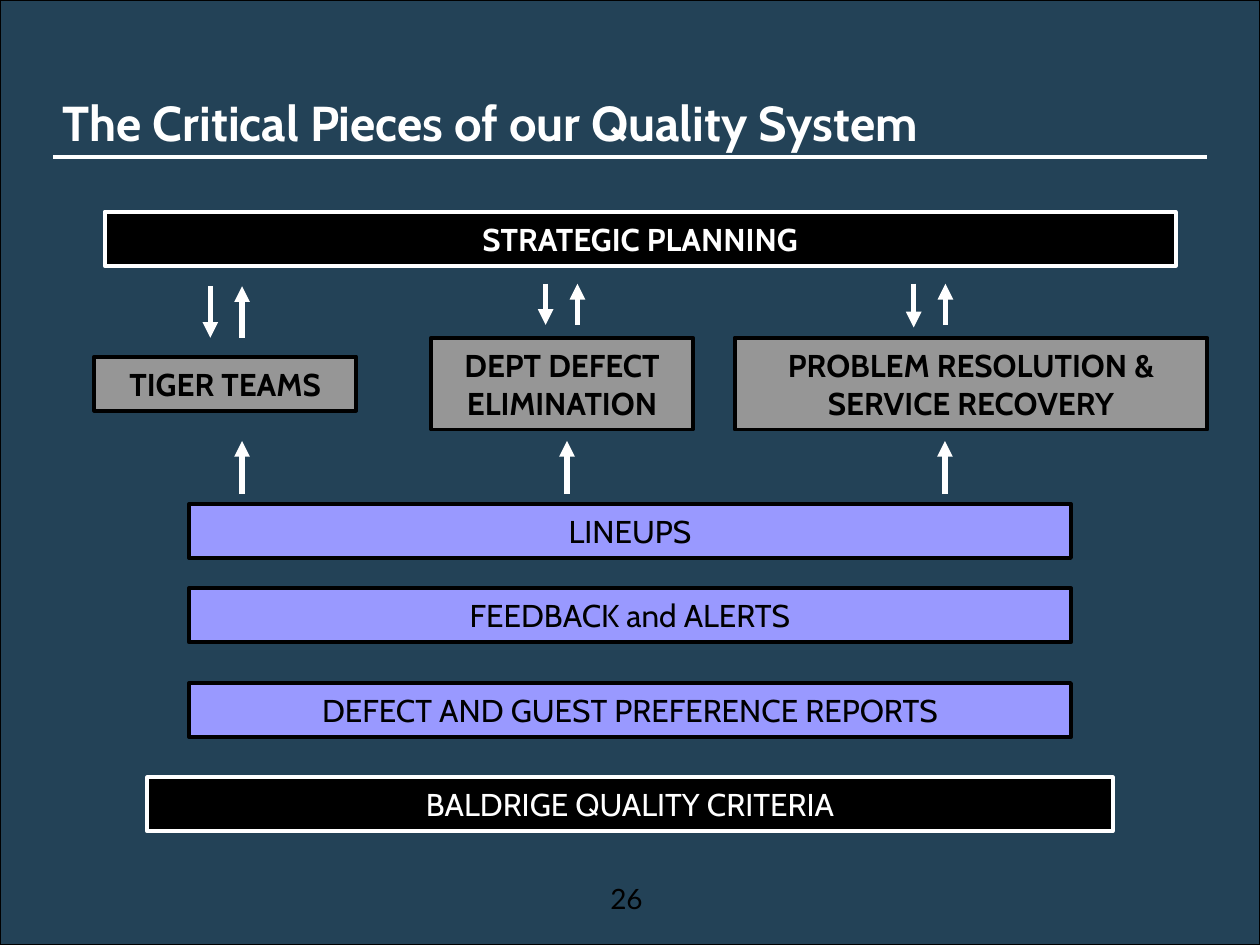
import pptx
import pptx.util
import pptx.dml.color
import pptx.enum.shapes
import pptx.enum.text
import pptx.oxml
import pptx.oxml.ns
from lxml import etree

Cm = pptx.util.Cm
Pt = pptx.util.Pt
RGBColor = pptx.dml.color.RGBColor
PP_ALIGN = pptx.enum.text.PP_ALIGN
MSO_ANCHOR = pptx.enum.text.MSO_ANCHOR

NAVY = RGBColor(0x23, 0x42, 0x57)
BLACK = RGBColor(0x00, 0x00, 0x00)
WHITE = RGBColor(0xFF, 0xFF, 0xFF)
GREY = RGBColor(0x96, 0x96, 0x96)
LILAC = RGBColor(0x99, 0x99, 0xFF)

BAR_HEIGHT = 1.09
PAIR_GAP = 0.64


def write(frame, wording, size, color, bold=False, font="Cabin", align=PP_ALIGN.CENTER):
    """Fill a text frame with one formatted paragraph."""
    frame.word_wrap = True
    frame.text = wording
    paragraph = frame.paragraphs[0]
    paragraph.alignment = align
    run_font = paragraph.runs[0].font
    run_font.name, run_font.size, run_font.bold = font, Pt(size), bold
    run_font.color.rgb = color


def add_panel(slide, box, fill, outline, weight=2.25):
    """Draw a filled rectangle and return it."""
    panel = slide.shapes.add_shape(
        pptx.enum.shapes.MSO_SHAPE.RECTANGLE, *map(Cm, box))
    panel.shadow.inherit = False
    panel.fill.solid()
    panel.fill.fore_color.rgb = fill
    panel.line.color.rgb = outline
    panel.line.width = Pt(weight)
    return panel


def add_bar(slide, box, wording, fill, outline, color, bold=False):
    """Draw a labelled rectangle."""
    bar = add_panel(slide, box, fill, outline)
    bar.text_frame.vertical_anchor = MSO_ANCHOR.MIDDLE
    write(bar.text_frame, wording, 18, color, bold)


def add_rule(slide, start, end, weight, arrow=False):
    """Draw a white line, with an arrowhead at its end if asked."""
    rule = slide.shapes.add_connector(
        pptx.enum.shapes.MSO_CONNECTOR.STRAIGHT, *map(Cm, start + end))
    rule.line.color.rgb = WHITE
    rule.line.width = Pt(weight)
    qn = pptx.oxml.ns.qn
    if arrow:
        etree.SubElement(rule.line._get_or_add_ln(), qn("a:tailEnd"), type="triangle")
    etree.SubElement(rule._element.spPr, qn("a:effectLst"))


def add_backdrop(slide, box):
    """Draw the backdrop and the page number near its foot."""
    left, top, width, height = box
    add_panel(slide, box, NAVY, BLACK, 0.75)
    page_number = slide.shapes.add_textbox(
        Cm(left + 11.79), Cm(top + height - 1.4), Cm(1.68), Cm(0.94))
    write(page_number.text_frame, "26", 16, BLACK, font="Lato")


def add_header(slide, box):
    """Place the title and the rule under it."""
    left, top, width, height = box
    title = slide.shapes.add_textbox(*map(Cm, box))
    write(title.text_frame, "The Critical Pieces of our Quality System", 28, WHITE,
          bold=True, align=PP_ALIGN.LEFT)
    rule_y = top + height + 0.15
    add_rule(slide, (left + 0.05, rule_y), (left + width - 0.07, rule_y), 2.25)


def add_planning(slide, box):
    """Place the planning bar and the arrow pairs below it."""
    left, top, width, height = box
    add_bar(slide, (left, top, width, BAR_HEIGHT), "STRATEGIC PLANNING",
            BLACK, WHITE, WHITE, bold=True)
    exchanges = [(2.13, 1.5, 2.54, 2.54), (8.89, 1.45, 2.28, 2.28),
                 (16.31, 1.45, 2.33, 2.28)]
    for x, upper, down_end, up_start in exchanges:
        down_x, up_x = left + x, left + x + PAIR_GAP
        add_rule(slide, (down_x, top + upper), (down_x, top + down_end), 3, arrow=True)
        add_rule(slide, (up_x, top + up_start), (up_x, top + upper), 3, arrow=True)


def add_teams(slide, box):
    """Place the three team boxes and the arrows that feed them."""
    left, top, width, height = box
    tall = 1.85
    teams = [("TIGER TEAMS", 0, 5.28, BAR_HEIGHT, 2.98),
             ("DEPT DEFECT ELIMINATION", 6.79, 5.28, tall, 9.53),
             ("PROBLEM RESOLUTION & SERVICE RECOVERY", 12.91, 9.53, tall, 17.15)]
    for wording, x, team_width, team_height, feed_x in teams:
        y = top + (tall - team_height) / 2
        add_bar(slide, (left + x, y, team_width, team_height), wording,
                GREY, BLACK, BLACK, bold=True)
        add_rule(slide, (left + feed_x, top + height),
                 (left + feed_x, top + height - 1.07), 3, arrow=True)


def add_foundation(slide, box):
    """Place the information bars and the criteria bar at the base."""
    left, top, width, height = box
    inset = 0.84
    sources = [("LINEUPS", 0), ("FEEDBACK and ALERTS", 1.7),
               ("DEFECT AND GUEST PREFERENCE REPORTS", 3.61)]
    for wording, y in sources:
        add_bar(slide, (left + inset, top + y, width - 2 * inset, BAR_HEIGHT),
                wording, LILAC, BLACK, BLACK)
    add_bar(slide, (left, top + height - BAR_HEIGHT, width, BAR_HEIGHT),
            "BALDRIGE QUALITY CRITERIA", BLACK, WHITE, WHITE)


def main():
    """Build the slide and save it."""
    deck = pptx.Presentation()
    deck.slide_width, deck.slide_height = Cm(25.4), Cm(19.05)
    slide = deck.slides.add_slide(deck.slide_layouts[6])
    add_backdrop(slide, (0, 0, 25.4, 19.05))
    add_header(slide, (1.02, 1.75, 23.39, 1.27))
    add_planning(slide, (2.11, 4.27, 21.59, 2.54))
    add_teams(slide, (1.9, 6.81, 22.44, 3.15))
    add_foundation(slide, (2.97, 10.16, 19.46, 6.6))
    deck.save("out.pptx")


if __name__ == "__main__":
    main()
